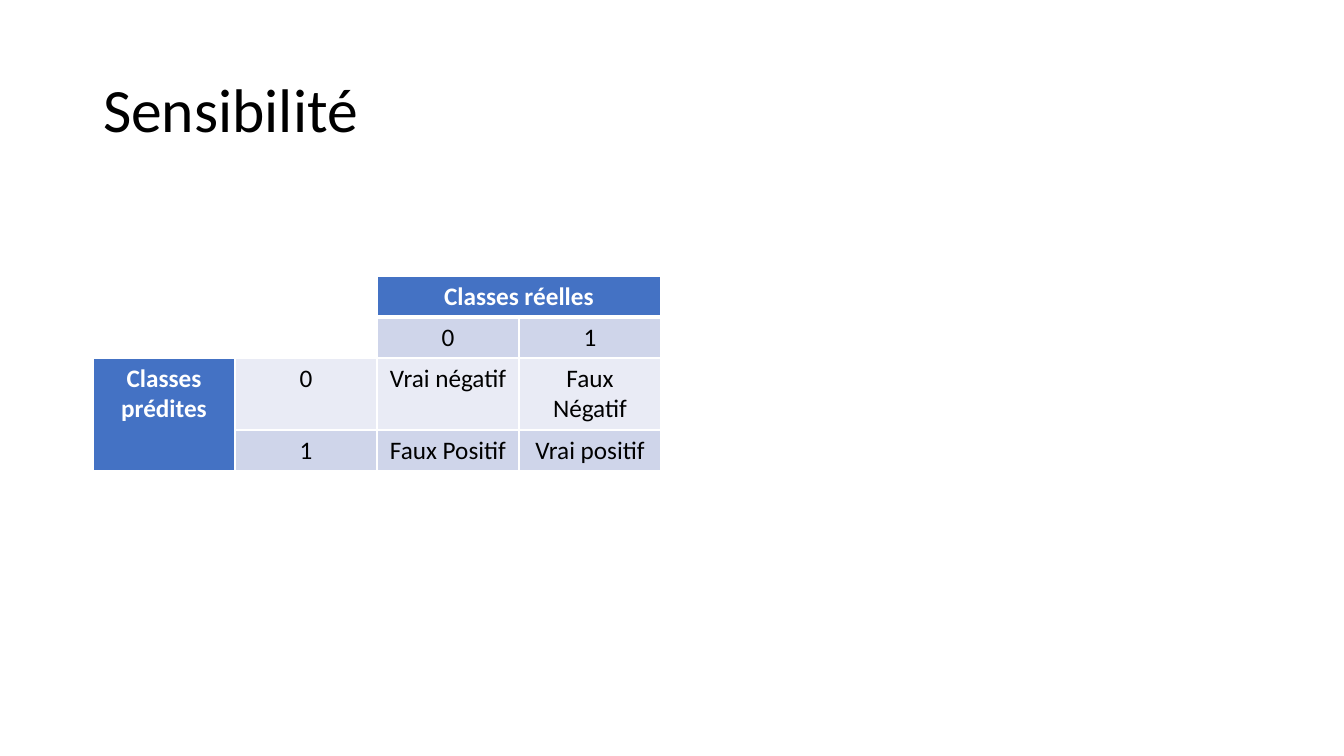
from dataclasses import dataclass

from lxml import etree
from pptx import Presentation
from pptx import util as u
from pptx.dml.color import RGBColor
from pptx.enum import text
from pptx.oxml.ns import qn

EMU_PER_PX = 914400 / 100.8


@dataclass(frozen=True)
class Theme:
    font: str = "Calibri"
    title_size: int = 44
    cell_size: int = 18
    ink: str = "000000"
    paper: str = "FFFFFF"
    header: str = "4472C4"
    dark_band: str = "CFD5EA"
    light_band: str = "E9EBF5"


THEME = Theme()

CONFUSION_MATRIX = [
    ["", "", "Classes réelles", ""],
    ["", "", "0", "1"],
    ["Classes prédites", "0", "Vrai négatif", "Faux Négatif"],
    ["", "1", "Faux Positif", "Vrai positif"],
]
HEADERS = {(0, 2), (2, 0)}
ROW_HEIGHTS = [41, 41, 72, 41]


def px(length):
    return u.Emu(round(length * EMU_PER_PX))


def style_font(font, size, color, bold=False):
    font.name = THEME.font
    font.size = u.Pt(size)
    font.bold = bold
    font.color.rgb = RGBColor.from_string(color)


def add_borders(cell, widths):
    """Draw white borders; widths maps each side (L, R, T, B) to points."""
    properties = cell._tc.get_or_add_tcPr()
    for side, width in widths.items():
        line = etree.SubElement(properties, qn(f"a:ln{side}"), w=str(u.Pt(width)))
        fill = etree.SubElement(line, qn("a:solidFill"))
        etree.SubElement(fill, qn("a:srgbClr"), val=THEME.paper)


def place_title(slide, box, wording):
    title = slide.shapes.title
    title.left, title.top, title.width, title.height = map(px, box)
    frame = title.text_frame
    frame.text = wording
    frame.vertical_anchor = text.MSO_ANCHOR.MIDDLE
    heading = frame.paragraphs[0]
    heading.alignment = text.PP_ALIGN.LEFT
    heading.line_spacing = 0.9
    style_font(heading.runs[0].font, THEME.title_size, THEME.ink)


def format_cell(cell, wording, row, is_header):
    if not wording:
        cell.fill.background()
        return
    add_borders(cell, {"L": 1, "R": 1, "T": 3 if row == 1 else 1,
                       "B": 3 if row == 0 else 1})
    band = THEME.dark_band if row % 2 else THEME.light_band
    cell.fill.solid()
    cell.fill.fore_color.rgb = RGBColor.from_string(THEME.header if is_header else band)
    cell.text_frame.text = wording
    label = cell.text_frame.paragraphs[0]
    label.alignment = text.PP_ALIGN.CENTER
    style_font(label.runs[0].font, THEME.cell_size,
               THEME.paper if is_header else THEME.ink, is_header)


def place_confusion_matrix(slide, box):
    column_count = len(CONFUSION_MATRIX[0])
    matrix = slide.shapes.add_table(
        len(CONFUSION_MATRIX), column_count, *map(px, box)).table
    matrix.first_row = False
    matrix.horz_banding = False
    for column in matrix.columns:
        column.width = px(box[2] // column_count)
    for matrix_row, height in zip(matrix.rows, ROW_HEIGHTS):
        matrix_row.height = px(height)
    for row, wordings in enumerate(CONFUSION_MATRIX):
        for column, wording in enumerate(wordings):
            format_cell(matrix.cell(row, column), wording, row,
                        (row, column) in HEADERS)
    matrix.cell(0, 2).merge(matrix.cell(0, 3))
    matrix.cell(2, 0).merge(matrix.cell(3, 0))


def main():
    deck = Presentation()
    deck.slide_width, deck.slide_height = px(1344), px(756)
    slide = deck.slides.add_slide(deck.slide_layouts.get_by_name("Title Only"))
    place_title(slide, (93, 40, 1159, 146), "Sensibilité")
    place_confusion_matrix(slide, (93, 276, 568, sum(ROW_HEIGHTS)))
    deck.save("out.pptx")


if __name__ == "__main__":
    main()
